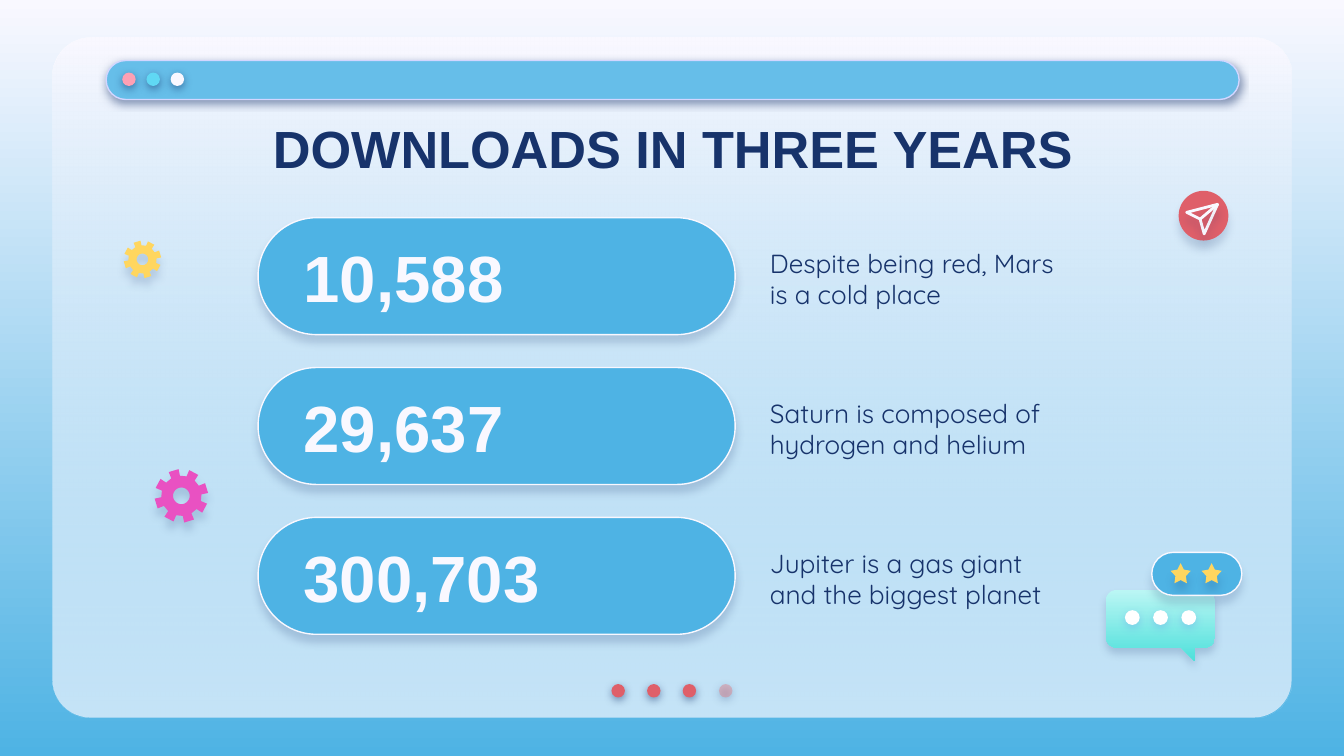
import math

import pptx
import pptx.dml.color
import pptx.enum.shapes
import pptx.enum.text
import pptx.oxml.ns
import pptx.util
from lxml import etree

Inches, Pt = pptx.util.Inches, pptx.util.Pt
SHAPE = pptx.enum.shapes.MSO_SHAPE
ANCHOR = pptx.enum.text.MSO_ANCHOR
ALIGN = pptx.enum.text.PP_ALIGN

TITLE = "DOWNLOADS IN THREE YEARS"
ROWS = [
    ("10,588", "Despite being red, Mars is a cold place"),
    ("29,637", "Saturn is composed of hydrogen and helium"),
    ("300,703", "Jupiter is a gas giant and the biggest planet"),
]

THEME = {
    "pale": "F9F8FF", "blue": "4EB3E4", "bar": "66BEE9", "edge": "D2D6FF",
    "navy": "17336B", "red": "DF5F69", "rose": "E27B83", "pink": "FDA0B4",
    "cyan": "60D8F4", "white": "FFFFFF", "gold": "FFD65F", "plum": "E951C2",
    "mint": "BBF6F4", "teal": "4EE0DB", "violet": "5352EE",
    "title": {"name": "Arial", "size": Pt(28), "bold": True},
    "number": {"name": "Arial", "size": Pt(35), "bold": True},
    "note": {"name": "Quicksand", "size": Pt(14), "bold": False},
}
# Shadows: colour, opacity in percent, distance in points
DARK = ("navy", 50, 1.5)
SOFT = ("navy", 18, 3.8)
DEEP = ("navy", 16, 4.5)
GLOW = ("violet", 18, 1.5)

WIDTH = 10
HEIGHT = WIDTH * 9 / 16
DOT = 0.1
GEARS = [(1.06, 1.93, 0.14, "gold"), (1.35, 3.69, 0.2, "plum")]
TEETH, LEAN = 8, -107  # degrees, first tooth just left of the top


def color(name):
    return pptx.dml.color.RGBColor.from_string(THEME[name])


def spread(first, last, count):
    return [first + (last - first) * i / (count - 1) for i in range(count)]


def add(parent, tag, **values):
    node = etree.SubElement(parent, pptx.oxml.ns.qn(tag))
    for key, value in values.items():
        node.set(key, str(value))
    return node


def blend(fill, names):
    """Fill from the top down with two theme colours."""
    fill.gradient()
    fill.gradient_angle = 270
    for stop, name in zip(fill.gradient_stops, names):
        stop.color.rgb = color(name)


def stroke(shape, edge):
    if edge:
        shape.line.color.rgb = color(edge[0])
        shape.line.width = Pt(edge[1])
    else:
        shape.line.fill.background()


def shade(shape, shadow):
    effects = add(shape._element.spPr, "a:effectLst")
    if shadow:
        name, alpha, gap = shadow
        outer = add(effects, "a:outerShdw", blurRad=Pt(4.5), dist=Pt(gap),
                    dir=5400000, algn="bl", rotWithShape=0)
        tint = add(outer, "a:srgbClr", val=THEME[name])
        add(tint, "a:alpha", val=alpha * 1000)


def paint(shape, fill, shadow=None, edge=None, alpha=None):
    """Set fill, line and shadow; alpha fades the last fill colour."""
    if fill is None:
        shape.fill.background()
    elif isinstance(fill, tuple):
        blend(shape.fill, fill)
    else:
        shape.fill.solid()
        shape.fill.fore_color.rgb = color(fill)
    if alpha:
        tints = list(shape._element.spPr.iter(pptx.oxml.ns.qn("a:srgbClr")))
        add(tints[-1], "a:alpha", val=alpha * 1000)
    stroke(shape, edge)
    shade(shape, shadow)


def place(shapes, kind, box, fill, adjust=None, **look):
    shape = shapes.add_shape(kind, *map(Inches, box))
    if adjust is not None:
        shape.adjustments[0] = adjust
    paint(shape, fill, **look)


def dots(shapes, lefts, top, size, fills, shadow):
    for left, fill in zip(lefts, fills):
        place(shapes, SHAPE.OVAL, (left, top, size, size), fill, shadow=shadow)


def write(shapes, box, text, style, name, anchor=ANCHOR.MIDDLE, **form):
    frame = shapes.add_textbox(*map(Inches, box)).text_frame
    frame.word_wrap = True
    frame.vertical_anchor = anchor
    for side in ("left", "top", "right", "bottom"):
        setattr(frame, "margin_" + side, Inches(0.1))
    para = frame.paragraphs[0]
    for key, value in form.items():
        setattr(para, key, value)
    run = para.add_run()
    run.text = text
    for key, value in THEME[style].items():
        setattr(run.font, key, value)
    run.font.color.rgb = color(name)


def arc(x, y, r, start, end, count=13):
    turns = map(math.radians, spread(start, end, count))
    return [(x + r * math.cos(t), y + r * math.sin(t)) for t in turns]


def trace(shapes, loops, fill, **look):
    """Draw closed outlines, given as lists of points, as one shape."""
    loops = [[tuple(map(Inches, point)) for point in loop] for loop in loops]
    pen = shapes.build_freeform(*loops[0][0], scale=1.0)
    for i, loop in enumerate(loops):
        if i:
            pen.move_to(*loop[0])
        pen.add_line_segments(loop[1:], close=True)
    paint(pen.convert_to_shape(), fill, **look)


def gear(shapes, x, y, r, fill):
    rim = []
    for i in range(TEETH):
        mid = LEAN + 360 / TEETH * i
        for size, turn in ((0.75, -13), (1, -11), (1, 11), (0.75, 13)):
            rim += arc(x, y, r * size, mid + turn, mid + turn + 1, 2)[:1]
    hole = arc(x, y, r * 0.31, 360, 0, 33)
    trace(shapes, [rim, hole], fill, shadow=DEEP)


def window(shapes):
    panel = (0.39, 0.28, 9.22, 5.06)
    place(shapes, SHAPE.ROUNDED_RECTANGLE, panel, "pale", 0.056)
    place(shapes, SHAPE.ROUNDED_RECTANGLE, panel, ("pale", "bar"), 0.056,
          alpha=35)
    dots(shapes, spread(4.55, 5.08, 3), 5.09, DOT, ["red"] * 3, DARK)
    place(shapes, SHAPE.OVAL, (5.35, 5.09, DOT, DOT), "rose",
          shadow=DARK, alpha=44)
    place(shapes, SHAPE.ROUNDED_RECTANGLE, (0.79, 0.45, 8.43, 0.29), "bar",
          0.5, shadow=DARK, edge=("edge", 0.75))
    dots(shapes, spread(0.91, 1.27, 3), 0.54, DOT,
         ["pink", "cyan", "pale"], DARK)


def chat(shapes):
    left, top, right, low, r = 8.23, 4.39, 9.04, 4.82, 0.08
    bubble = (arc(left + r, top + r, r, 180, 270)
              + arc(right - r, top + r, r, 270, 360)
              + arc(right - r, low - r, r, 0, 90)
              + [(8.89, low), (8.89, 4.92), (8.79, low)]
              + arc(left + r, low - r, r, 90, 180))
    trace(shapes, [bubble], ("mint", "teal"), shadow=("navy", 18, 3))
    dots(shapes, spread(8.37, 8.79, 3), 4.54, 0.11, ["white"] * 3, GLOW)
    place(shapes, SHAPE.ROUNDED_RECTANGLE, (8.57, 4.11, 0.67, 0.32), "blue",
          0.5, shadow=DEEP, edge=("pale", 0.75))
    for x in (8.71, 8.94):
        place(shapes, SHAPE.STAR_5_POINT, (x, 4.19, 0.15, 0.15), "gold",
              0.26, shadow=DEEP)


def plane(shapes):
    place(shapes, SHAPE.OVAL, (8.77, 1.42, 0.37, 0.37), "red", shadow=DEEP)
    nose, fold, edge = (9.06, 1.52), (8.93, 1.63), ("pale", 1.5)
    trace(shapes, [[(8.83, 1.58), nose, (8.96, 1.74), fold]], None,
          shadow=DEEP, edge=edge)
    crease = shapes.add_connector(pptx.enum.shapes.MSO_CONNECTOR.STRAIGHT,
                                  *map(Inches, nose + fold))
    stroke(crease, edge)
    shade(crease, DEEP)


def main():
    deck = pptx.Presentation()
    deck.slide_width, deck.slide_height = Inches(WIDTH), Inches(HEIGHT)
    slide = deck.slides.add_slide(deck.slide_layouts[6])
    shapes = slide.shapes
    blend(slide.background.fill, ("pale", "blue"))
    window(shapes)
    write(shapes, (0.79, 0.75, 8.43, 0.63), TITLE, "title", "navy",
          alignment=ALIGN.CENTER, line_spacing=1.15)
    for top, (number, note) in zip(spread(1.62, 3.85, 3), ROWS):
        place(shapes, SHAPE.ROUNDED_RECTANGLE, (1.92, top, 3.55, 0.87), "blue",
              0.5, shadow=SOFT, edge=("pale", 0.75))
        write(shapes, (2.16, top + 0.06, 2.99, 0.76), number, "number", "pale")
        write(shapes, (5.63, top + 0.12, 2.44, 0.63), note, "note", "navy",
              ANCHOR.TOP)
    chat(shapes)
    for spot in GEARS:
        gear(shapes, *spot)
    plane(shapes)
    deck.save("out.pptx")


if __name__ == "__main__":
    main()
